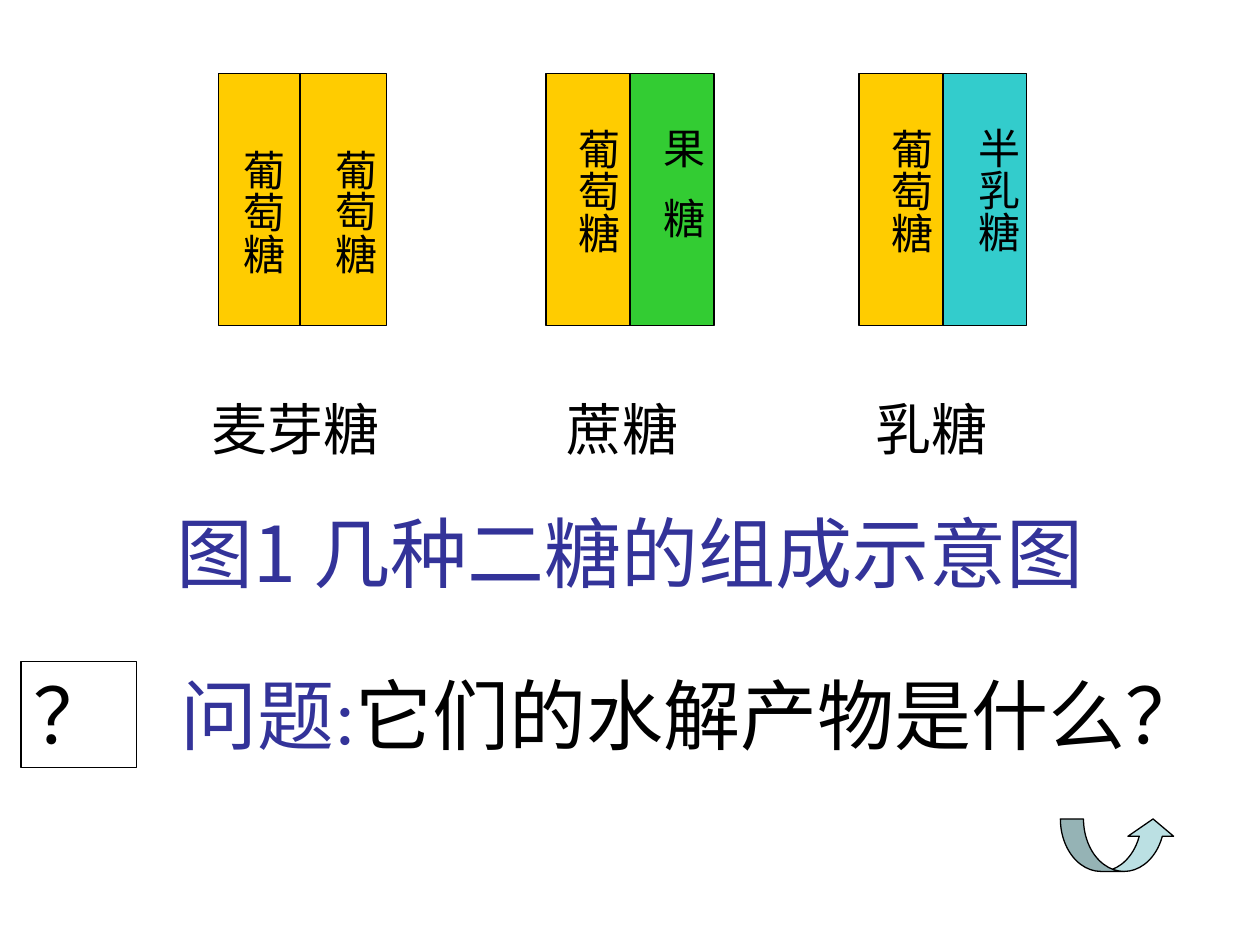
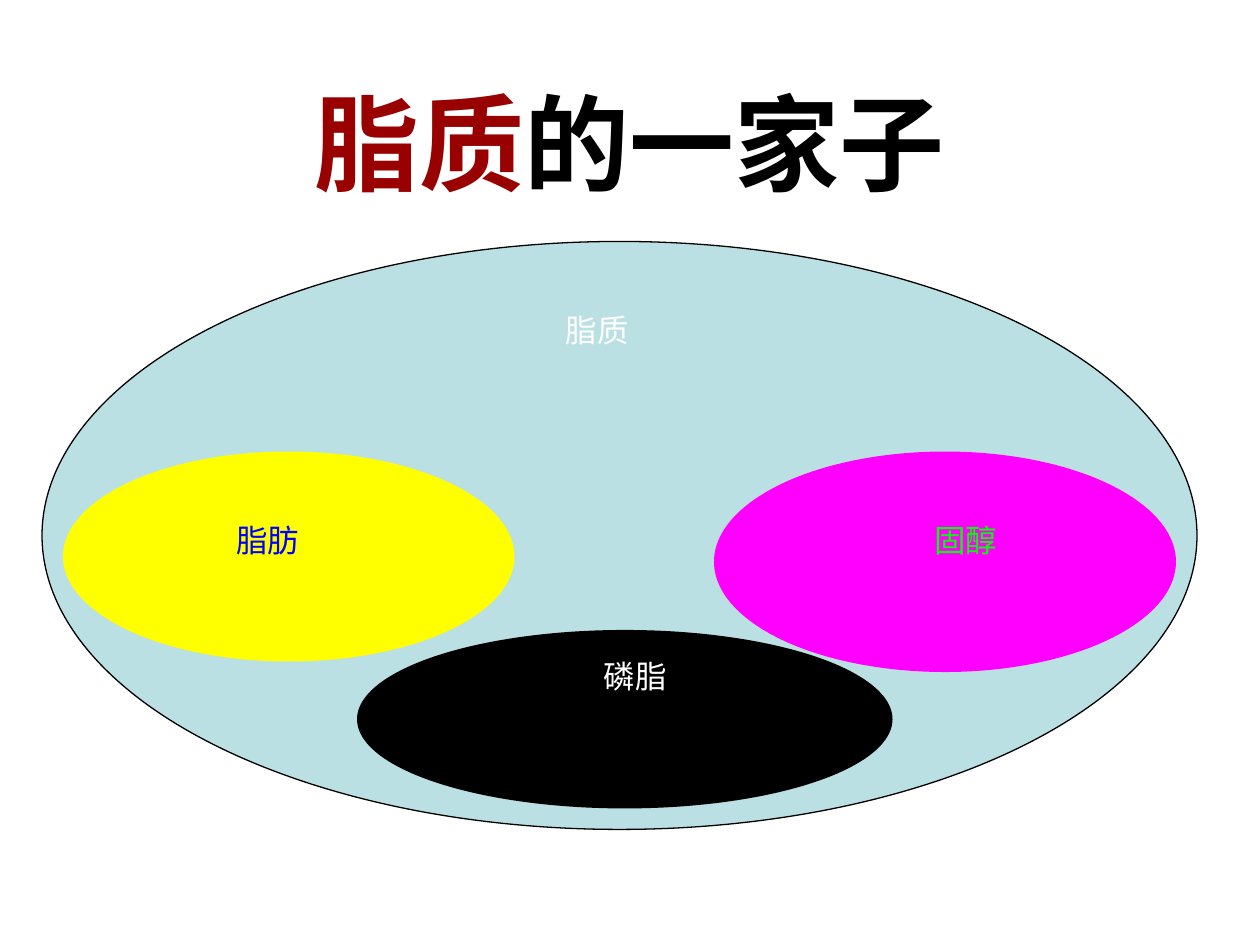
from dataclasses import dataclass

from lxml.etree import SubElement
from pptx import Presentation
from pptx.dml.color import RGBColor
from pptx.enum.shapes import MSO_CONNECTOR as Connector, MSO_SHAPE as Shape
from pptx.enum.text import MSO_ANCHOR as Anchor, PP_ALIGN as Align
from pptx.oxml.ns import qn
from pptx.util import Pt


@dataclass(frozen=True)
class Theme:
    black: str = "000000"
    white: str = "FFFFFF"
    navy: str = "333399"
    maroon: str = "990000"
    pale: str = "BBE0E3"
    glucose: str = "FFCC00"
    fructose: str = "33CC33"
    galactose: str = "33CCCC"
    fat: str = "FFFF00"
    fat_text: str = "0000FF"
    sterol: str = "FF00FF"
    sterol_text: str = "00FF00"
    serif: str = "Times New Roman"
    hans: str = "Noto Sans CJK SC"
    sans: str = "Noto Sans CJK JP"
    banner: int = 60
    heading: int = 44
    caption: int = 32
    unit: int = 24
    small: int = 18
    line: float = 0.75


THEME = Theme()
UNIT_WIDTH, UNIT_TOP, UNIT_HEIGHT = 48, 42, 144


def rgb(color):
    return RGBColor.from_string(color)


def write(shape, spans, size, latin=THEME.serif, asian=THEME.hans,
          align=Align.LEFT, anchor=Anchor.TOP, bold=False):
    """Fill one paragraph with (text, colour) spans."""
    frame = shape.text_frame
    frame.word_wrap = True
    frame.vertical_anchor = anchor
    para = frame.paragraphs[0]
    para.alignment = align
    for text, color in spans:
        span = para.add_run()
        span.text = text
        font = span.font
        font.size, font.name, font.bold = Pt(size), latin, bold
        font.color.rgb = rgb(color)
        SubElement(font._element, qn("a:ea"), typeface=asian)
    return para


def add_text(page, area, spans, size, **style):
    box = page.shapes.add_textbox(*map(Pt, area))
    write(box, spans, size, **style)
    return box


def add_title(page, area, spans, size, font, bold=False):
    add_text(page, area, spans, size, latin=font, asian=font,
             align=Align.CENTER, anchor=Anchor.MIDDLE, bold=bold)


def add_figure(page, kind, area, fill, outlined=True):
    figure = page.shapes.add_shape(kind, *map(Pt, area))
    figure.shadow.inherit = False
    figure.fill.solid()
    figure.fill.fore_color.rgb = rgb(fill)
    if outlined:
        figure.line.color.rgb = rgb(THEME.black)
        figure.line.width = Pt(THEME.line)
    else:
        figure.line.fill.background()
    return figure


def add_divider(page, x, top, bottom):
    divider = page.shapes.add_connector(
        Connector.STRAIGHT, Pt(x), Pt(top), Pt(x), Pt(bottom))
    divider.line.color.rgb = rgb(THEME.black)
    divider.line.width = Pt(THEME.line)
    SubElement(divider._element.spPr, qn("a:effectLst"))


def add_vertical_label(page, left, top, height, text, spacing=0):
    """Write downwards; spacing is the extra gap after each character."""
    box = add_text(page, (left, top, 43.2, height), [(text, THEME.black)],
                   THEME.unit, align=Align.CENTER)
    frame = box.text_frame
    frame.margin_left = frame.margin_right = Pt(3.6)
    frame.margin_top = frame.margin_bottom = Pt(7.2)
    frame._txBody.bodyPr.set("vert", "eaVert")
    if spacing:
        frame.paragraphs[0].runs[0].font._element.set("spc", str(spacing * 100))


def add_unit(page, left, color):
    add_figure(page, Shape.RECTANGLE,
               (left, UNIT_TOP, UNIT_WIDTH, UNIT_HEIGHT), color)


def add_disaccharides(page):
    add_figure(page, Shape.RECTANGLE,
               (124.8, UNIT_TOP, 2 * UNIT_WIDTH, UNIT_HEIGHT), THEME.glucose)
    add_divider(page, 171.4, UNIT_TOP, UNIT_TOP + UNIT_HEIGHT)
    for left, partner in ((490.8, THEME.galactose), (312, THEME.fructose)):
        add_unit(page, left + UNIT_WIDTH, partner)
        add_unit(page, left, THEME.glucose)

    labels = [
        (125.3, 78, 126, "葡萄糖"), (177.8, 78, 108, "葡萄糖"),
        (316.8, 66, 96, "葡萄糖"), (365, 66, 102, "果 糖", 5),
        (495.6, 66, 96, "葡萄糖"), (545, 66, 114, "半乳糖"),
    ]
    for label in labels:
        add_vertical_label(page, *label)

    for left, width, name in ((114, 129, "麦芽糖"), (316.8, 145, "蔗糖"),
                              (493.2, 112, "乳糖")):
        add_text(page, (left, 222, width, 46), [(name, THEME.black)],
                 THEME.caption)


def build_sugar_page(page):
    add_title(page, (54, 270, 612, 90),
              [("图1 几种二糖的组成示意图", THEME.navy)],
              THEME.heading, THEME.hans)
    add_disaccharides(page)
    add_text(page, (96, 378, 582, 60.5),
             [("问题:", THEME.navy), ("它们的水解产物是什么？", THEME.black)],
             THEME.heading)
    mark = add_figure(page, Shape.RECTANGLE, (12, 378, 66, 60.5), THEME.white)
    write(mark, [("？", THEME.black)], THEME.heading)
    arrow = add_figure(page, Shape.CURVED_UP_ARROW, (606, 468, 66, 30),
                       THEME.pale)
    for index, value in enumerate((0.44, 0.87, 0.33)):
        arrow.adjustments[index] = value


def build_lipid_page(page):
    add_title(page, (54, 24, 612, 114),
              [("脂质", THEME.maroon), ("的一家子", THEME.black)],
              THEME.banner, THEME.sans, bold=True)
    add_figure(page, Shape.OVAL, (24, 138, 660, 336), THEME.pale)
    for area, fill in (((36, 258, 258, 120), THEME.fat),
                       ((204, 360, 306, 102), THEME.black),
                       ((408, 258, 264, 126), THEME.sterol)):
        add_figure(page, Shape.OVAL, area, fill, outlined=False)

    names = [
        ((234, 174, 215, 72), "脂质", THEME.white, -0.3),
        ((66, 294, 174, 59), "脂肪", THEME.fat_text, 0),
        ((282, 372, 162, 72), "磷脂", THEME.white, 0),
        ((462, 294, 180, 72), "固醇", THEME.sterol_text, 0),
    ]
    for area, name, color, angle in names:
        box = add_text(page, area, [(name, color)], THEME.small,
                       latin=THEME.sans, asian=THEME.sans, align=Align.CENTER)
        box.rotation = angle


def main():
    deck = Presentation()
    deck.slide_width, deck.slide_height = Pt(720), Pt(540)
    for build in (build_sugar_page, build_lipid_page):
        build(deck.slides.add_slide(deck.slide_layouts[6]))
    deck.save("out.pptx")


if __name__ == "__main__":
    main()
